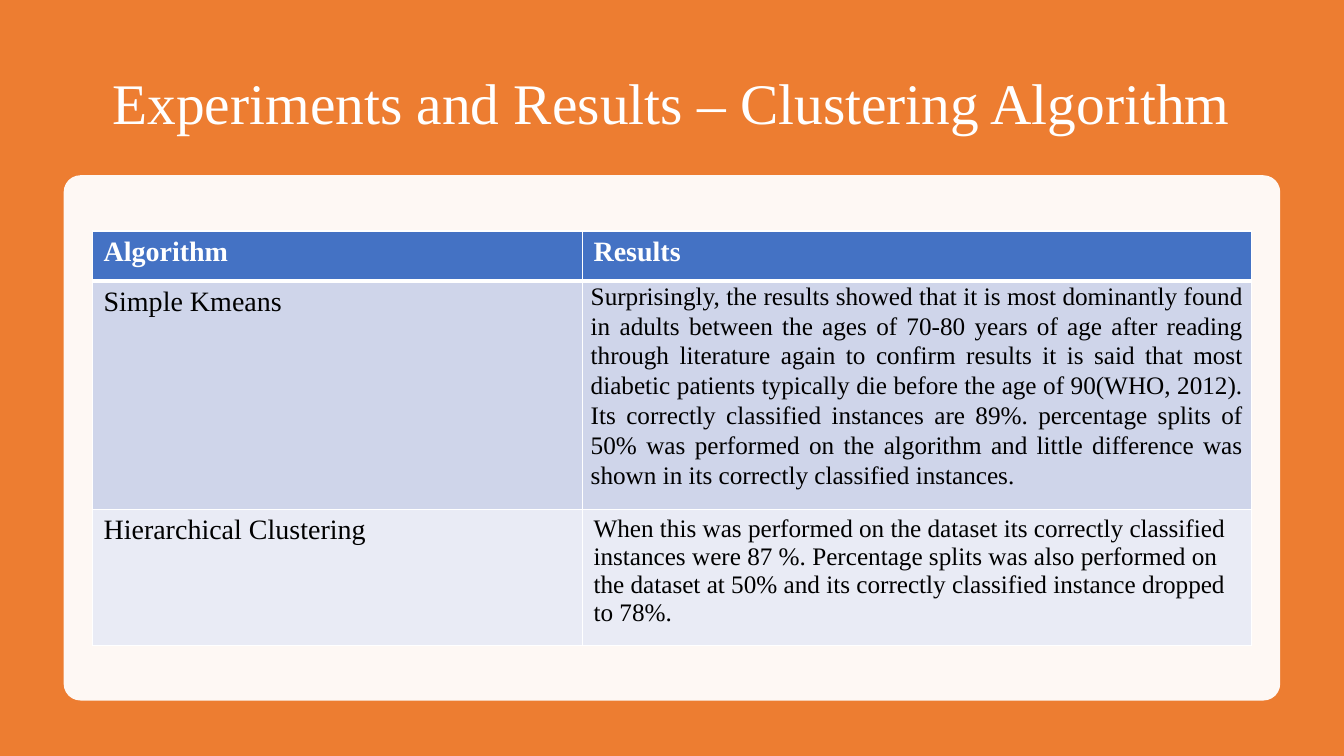
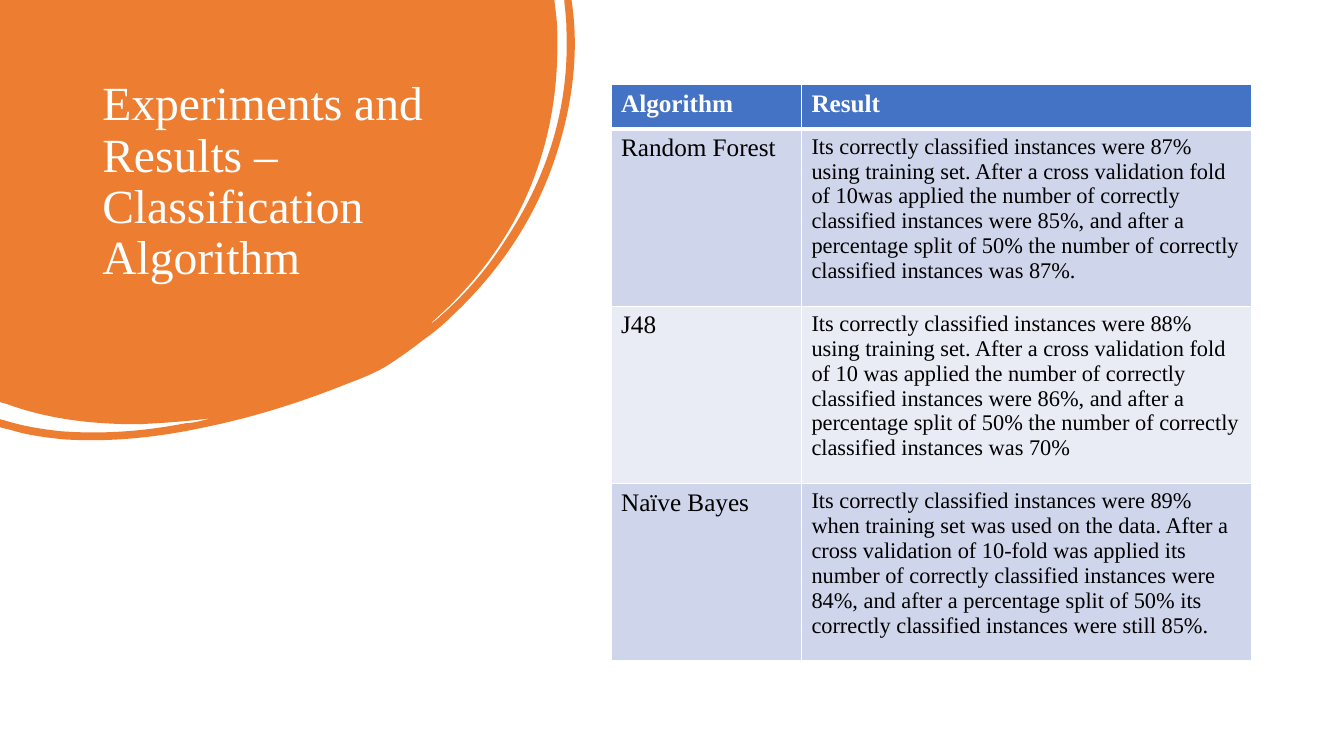
from lxml import etree
from pptx import Presentation
from pptx.dml.color import RGBColor
from pptx.enum.shapes import MSO_SHAPE
from pptx.enum.text import MSO_ANCHOR, PP_ALIGN
from pptx.oxml.ns import qn
from pptx.util import Pt

RECTANGLE, ROUNDED = MSO_SHAPE.RECTANGLE, MSO_SHAPE.ROUNDED_RECTANGLE
TOP, MIDDLE = MSO_ANCHOR.TOP, MSO_ANCHOR.MIDDLE
LEFT, CENTER, JUSTIFY = PP_ALIGN.LEFT, PP_ALIGN.CENTER, PP_ALIGN.JUSTIFY

FONT = "Times New Roman"
ORANGE, WHITE, BLACK, HEADER = "ED7D31", "FFFFFF", "000000", "4472C4"
BANDS = ["CFD5EA", "E9EBF5"]
WIDTH, HEIGHT = 960, 540
BLOB_SIZE = (571, 437)

BLOB = [
    (550, 0), (552, 17),
    (553, 26, 553, 36, 553, 45), (553, 101, 542, 154, 518, 204),
    (496, 249, 465, 288, 427, 321), (429, 321, 430, 319, 432, 318),
    (459, 295, 482, 269, 501, 239), (543, 176, 565, 107, 562, 30),
    (562, 21, 561, 12, 560, 3),
    (560, 0), (567, 0), (568, 7),
    (574, 54, 568, 102, 553, 150), (533, 214, 497, 268, 448, 314),
    (439, 323, 429, 331, 419, 338), (409, 346, 399, 353, 387, 361),
    (375, 369, 360, 375, 344, 381), (299, 399, 252, 414, 203, 424),
    (157, 434, 110, 439, 63, 436), (45, 434, 28, 432, 12, 427),
    (0, 424), (0, 416), (4, 417),
    (23, 423, 42, 426, 61, 428), (103, 431, 143, 428, 184, 420),
    (189, 420, 193, 419, 198, 418), (202, 417, 206, 416, 210, 415),
    (186, 418, 161, 420, 136, 421), (92, 421, 48, 416, 7, 401),
    (0, 399),
]

CLUSTERING = [
    ("Algorithm", "Results"),
    ("Simple Kmeans",
     "Surprisingly, the results showed that it is most dominantly found in adults "
     "between the ages of 70-80 years of age after reading through literature again "
     "to confirm results it is said that most diabetic patients typically die before "
     "the age of 90(WHO, 2012). Its correctly classified instances are 89%. "
     "percentage splits of 50% was performed on the algorithm and little difference "
     "was shown in its correctly classified instances.\u00a0"),
    ("Hierarchical Clustering",
     "When this was performed on the dataset its correctly classified instances were "
     "87 %. Percentage splits was also performed on the dataset at 50% and its "
     "correctly classified instance dropped to 78%."),
]
CLASSIFICATION = [
    ("Algorithm", "Result"),
    ("Random Forest",
     "Its correctly classified instances were 87% using training set. After a cross "
     "validation fold of 10was applied the number of correctly classified instances "
     "were 85%, and after a percentage split of 50% the number of correctly "
     "classified instances was 87%."),
    ("J48",
     "Its correctly classified instances were 88% using training set. After a cross "
     "validation fold of 10 was applied the number of correctly classified instances "
     "were 86%, and after a percentage split of 50% the number of correctly "
     "classified instances was 70%"),
    ("Na\u00efve Bayes",
     "Its correctly classified instances were 89% when training set was used on the "
     "data. After a cross validation of 10-fold was applied its number of correctly "
     "classified instances were 84%, and after a percentage split of 50% its "
     "correctly classified instances were still 85%."),
]


def color(value):
    """Turn a hex string into a colour."""
    return RGBColor.from_string(value)


def paint(shape, fill):
    """Give a shape a plain fill with no line or shadow."""
    shape.fill.solid()
    shape.fill.fore_color.rgb = color(fill)
    shape.line.fill.background()
    shape.shadow.inherit = False


def write(frame, text, size, ink, bold=False, align=LEFT, spacing=1.0):
    """Write one paragraph of one run into a text frame."""
    paragraph = frame.paragraphs[0]
    paragraph.alignment = align
    paragraph.line_spacing = spacing
    run = paragraph.add_run()
    run.text = text
    run.font.name = FONT
    run.font.size = Pt(size)
    run.font.bold = bold
    run.font.color.rgb = color(ink)


def add_title(slide, box, text, size, align, anchor):
    """Add a white slide title."""
    frame = slide.shapes.add_textbox(*map(Pt, box)).text_frame
    frame.word_wrap = True
    frame.vertical_anchor = anchor
    write(frame, text, size, WHITE, align=align, spacing=0.9)


def add_panel(slide, box, shape_type, fill, opacity=100):
    """Add a filled panel, optionally translucent."""
    shape = slide.shapes.add_shape(shape_type, *map(Pt, box))
    paint(shape, fill)
    if opacity < 100:
        tint = shape.fill._xPr.find(qn("a:solidFill"))[0]
        etree.SubElement(tint, qn("a:alpha"), val=str(opacity * 1000))
    return shape


def add_borders(cell, widths):
    """Draw white borders on a cell, widths in points by side."""
    properties = cell._tc.get_or_add_tcPr()
    for side, width in widths.items():
        line = etree.SubElement(properties, qn("a:ln" + side), w=str(Pt(width)))
        fill = etree.SubElement(line, qn("a:solidFill"))
        etree.SubElement(fill, qn("a:srgbClr"), val=WHITE)


def add_results(slide, box, rows, columns, heights, sizes, inset):
    """Add a results table and return it."""
    table = slide.shapes.add_table(len(rows), len(columns), *map(Pt, box)).table
    for column, width in zip(table.columns, columns):
        column.width = Pt(width)
    for index, (row, height) in enumerate(zip(table.rows, heights)):
        row.height = Pt(height)
        header = index == 0
        for place, cell in enumerate(row.cells):
            cell.margin_left = cell.margin_right = Pt(inset)
            cell.margin_top = cell.margin_bottom = Pt(inset / 2)
            add_borders(cell, {"L": 1, "R": 1, "T": 3 if index == 1 else 1,
                               "B": 3 if header else 1})
            cell.fill.solid()
            cell.fill.fore_color.rgb = color(HEADER if header else BANDS[(index - 1) % 2])
            write(cell.text_frame, rows[index][place], sizes[0 if header else place],
                  WHITE if header else BLACK, bold=header)
    return table


def add_blob(slide, box):
    """Add the orange corner blob with its swoosh, fitted to a box."""
    left, top, width, height = map(Pt, box)
    scales = width / BLOB_SIZE[0], height / BLOB_SIZE[1]
    segments = [[round(value * scales[index % 2]) for index, value in enumerate(segment)]
                for segment in BLOB]
    builder = slide.shapes.build_freeform(0, 0, scale=1.0)
    builder.add_line_segments([segment[-2:] for segment in segments], close=True)
    shape = builder.convert_to_shape(left, top)
    shape.width, shape.height = width, height
    outline = next(shape._element.iter(qn("a:path")))
    outline.set("w", str(width))
    outline.set("h", str(height))
    for line, segment in zip(outline.findall(qn("a:lnTo")), segments):
        if len(segment) == 6:
            curve = etree.Element(qn("a:cubicBezTo"))
            for x, y in zip(segment[::2], segment[1::2]):
                etree.SubElement(curve, qn("a:pt"), x=str(x), y=str(y))
            outline.replace(line, curve)
    paint(shape, ORANGE)


def build_clustering(slide):
    """Build the clustering slide: title over a table panel."""
    add_panel(slide, (0, 0, WIDTH, HEIGHT), RECTANGLE, ORANGE)
    add_title(slide, (66, 36, 828, 79), "Experiments and Results \u2013 Clustering Algorithm",
              41, CENTER, MIDDLE)
    panel = add_panel(slide, (45.5, 125.2, 869, 375.2), ROUNDED, WHITE, opacity=95)
    panel.adjustments[0] = 0.032
    table = add_results(slide, (66, 165, 828, 296), CLUSTERING, (350, 478),
                        (35.6, 163.2, 97.2), (20, 18), 8)
    summary = table.cell(1, 1)
    summary.margin_left = summary.margin_right = Pt(6)
    summary.margin_top = summary.margin_bottom = Pt(0)
    paragraph = summary.text_frame.paragraphs[0]
    paragraph.alignment = JUSTIFY
    paragraph.line_spacing = 1.07


def build_classification(slide):
    """Build the classification slide: title blob beside a table."""
    add_blob(slide, (0, 0, 411.1, 314.6))
    add_title(slide, (66, 53.3, 253.5, 160),
              "Experiments and Results \u2013 Classification Algorithm", 34, LEFT, TOP)
    add_results(slide, (436.7, 60.5, 457.5, 411.8), CLASSIFICATION, (136, 321.5),
                (31.9, 126.6, 126.6, 126.6), (18, 16), 7)


def main():
    """Build and save the presentation."""
    presentation = Presentation()
    presentation.slide_width, presentation.slide_height = Pt(WIDTH), Pt(HEIGHT)
    blank = presentation.slide_layouts[6]
    for build in (build_clustering, build_classification):
        build(presentation.slides.add_slide(blank))
    presentation.save("out.pptx")


main()
